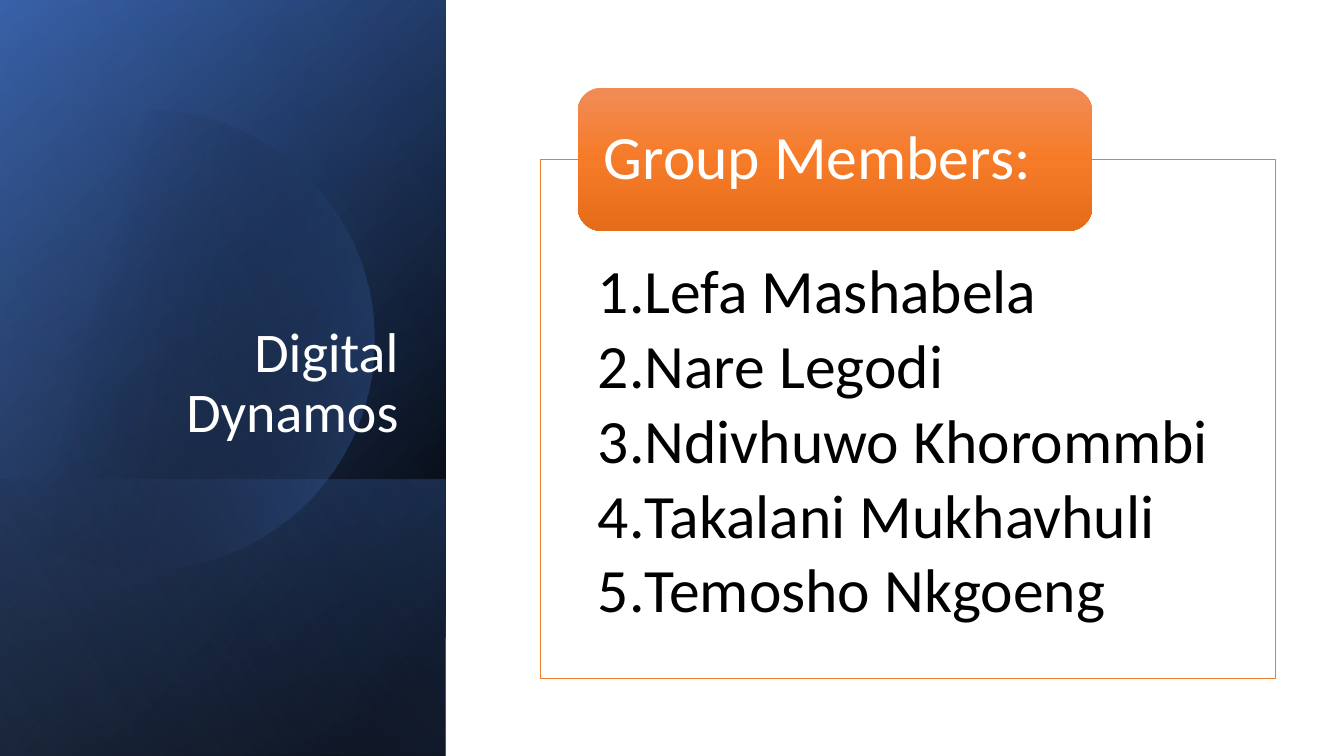
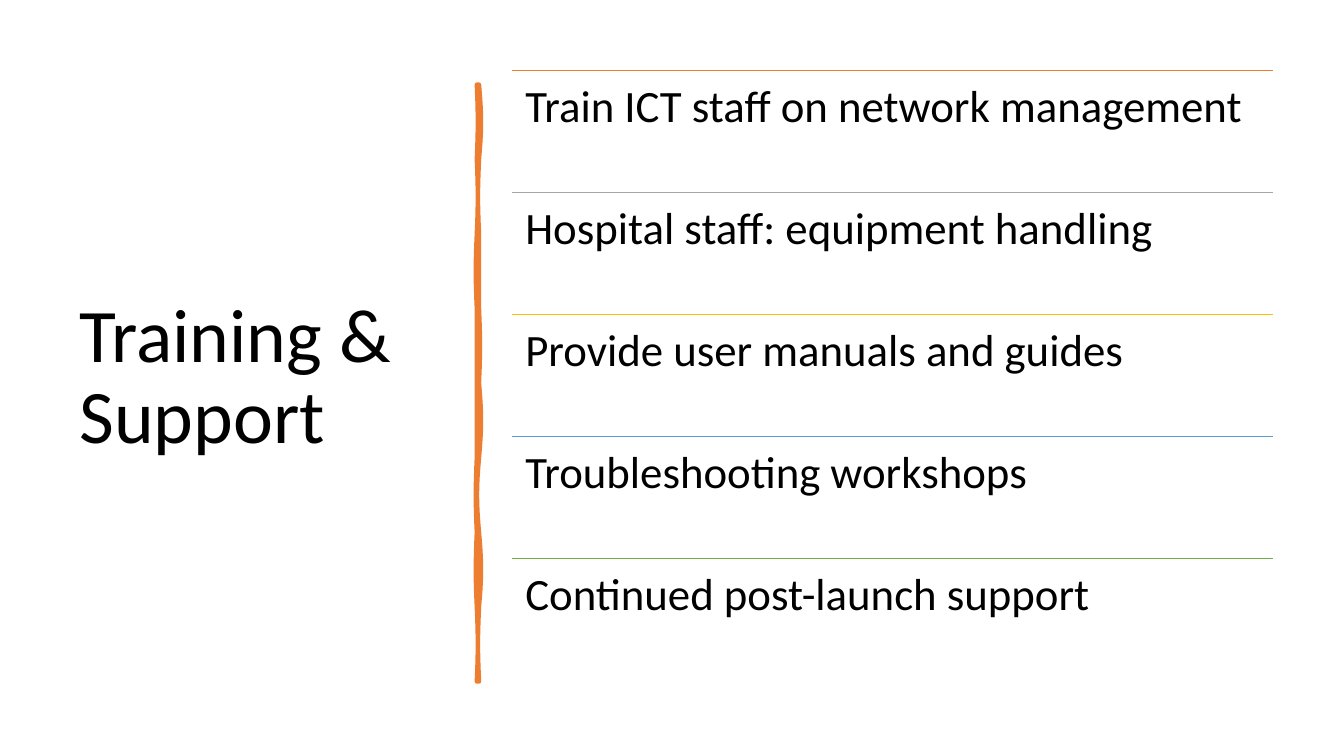
import math

from lxml import etree
from pptx import Presentation
from pptx import util as u
from pptx.dml.color import RGBColor
from pptx.enum import shapes, text
from pptx.oxml import ns

Inches, Pt = u.Inches, u.Pt
FONT = "Calibri"
BLACK, WHITE, ORANGE = "000000", "FFFFFF", "ED7D31"
BLUE, NAVY, PALE_BLUE = "4472C4", "2F5597", "8FAADC"
RULE_COLORS = [ORANGE, "A5A5A5", "FFC000", "5B9BD5", "70AD47"]
LEFT, RIGHT = text.PP_ALIGN.LEFT, text.PP_ALIGN.RIGHT
TOP, MIDDLE, BOTTOM = (text.MSO_ANCHOR.TOP, text.MSO_ANCHOR.MIDDLE,
                       text.MSO_ANCHOR.BOTTOM)


def color(value):
    return RGBColor.from_string(value)


def add_element(parent, tag, **attributes):
    return etree.SubElement(parent, ns.qn(tag), attributes)


def fill_gradient(shape, angle, stops):
    """Fill with (position, colour, opacity) stops; the angle runs clockwise."""
    shape.fill.gradient()
    shape.fill.gradient_angle = 360 - angle
    stop_list = shape._element.spPr.find(".//" + ns.qn("a:gsLst"))
    for old_stop in list(stop_list):
        stop_list.remove(old_stop)
    for position, value, opacity in stops:
        stop = add_element(stop_list, "a:gs", pos=str(position * 1000))
        tint = add_element(stop, "a:srgbClr", val=value)
        if opacity < 100:
            add_element(tint, "a:alpha", val=str(opacity * 1000))


def add_shape(page, kind, left, top, width, height):
    shape = page.shapes.add_shape(kind, Inches(left), Inches(top),
                                  Inches(width), Inches(height))
    shape.shadow.inherit = False
    shape.line.fill.background()
    return shape


def add_outline(page, points):
    """Draw a closed outline through points given in inches."""
    corners = [(Inches(x), Inches(y)) for x, y in points]
    builder = page.shapes.build_freeform(*corners[0])
    builder.add_line_segments(corners[1:], close=True)
    shape = builder.convert_to_shape()
    shape.shadow.inherit = False
    return shape


def write(shape, lines, size, value, insets=(0.1, 0.05, 0.1, 0.05),
          anchor=TOP, align=LEFT, gap=0, numbered=False):
    frame = shape.text_frame
    frame.word_wrap = True
    frame.vertical_anchor = anchor
    (frame.margin_left, frame.margin_top,
     frame.margin_right, frame.margin_bottom) = map(Inches, insets)
    for index, line in enumerate(lines):
        para = frame.add_paragraph() if index else frame.paragraphs[0]
        para.alignment = align
        para.line_spacing = 0.9
        para.space_after = Pt(gap)
        if numbered:
            properties = para._p.get_or_add_pPr()
            properties.set("marL", str(Inches(0.31)))
            properties.set("indent", str(-Inches(0.31)))
            add_element(properties, "a:buFont", typeface="+mj-lt")
            add_element(properties, "a:buAutoNum", type="arabicPeriod")
        span = para.add_run()
        span.text = line
        span.font.name = FONT
        span.font.size = Pt(size)
        span.font.color.rgb = color(value)


def add_text(page, left, top, width, height, lines, size, value, **style):
    box = page.shapes.add_textbox(Inches(left), Inches(top),
                                  Inches(width), Inches(height))
    write(box, lines, size, value, **style)


def add_title(page, left, top, width, height, title, size, value, **style):
    add_text(page, left, top, width, height, [title], size, value, **style)


def add_turned_band(page, left, top, width, height, angle, stops):
    """Cover the given box with a mirrored band turned a quarter clockwise."""
    shift = (width - height) / 2
    band = add_shape(page, shapes.MSO_SHAPE.RECTANGLE,
                     left + shift, top - shift, height, width)
    band.rotation = 90
    band._element.spPr.xfrm.set("flipH", "1")
    fill_gradient(band, angle, stops)


def add_disc(page, edge, center_x, center_y, radius):
    """Draw a glowing disc cut off at the vertical line x = edge."""
    reach = math.acos((edge - center_x) / radius)
    steps = 120
    angles = [reach * (2 * step / steps - 1) for step in range(steps + 1)]
    disc = add_outline(page, [(center_x + radius * math.cos(a),
                               center_y + radius * math.sin(a))
                              for a in angles])
    disc.line.fill.background()
    fill_gradient(disc, 14, [(29, BLACK, 0), (100, BLUE, 43)])


def add_night_panel(page, left, top, width, height):
    whole = (left, top, width, height)
    foot = 2.74
    add_turned_band(page, *whole, 50, [(8, BLACK, 100), (100, NAVY, 100)])
    add_turned_band(page, *whole, 30, [(0, BLACK, 0), (99, BLUE, 46)])
    add_turned_band(page, left, top + height - foot, width, foot, 130,
                    [(2, BLUE, 29), (100, BLACK, 30)])
    add_disc(page, left, left + 1.43, top + 3.37, 2.28)
    add_turned_band(page, *whole, 120, [(0, BLACK, 0), (99, PALE_BLUE, 11)])


def add_member_card(page, left, top, width, height, heading, members):
    card = add_shape(page, shapes.MSO_SHAPE.RECTANGLE,
                     left, top, width, height)
    card.fill.solid()
    card.fill.fore_color.rgb = color(WHITE)
    card.line.color.rgb = color(ORANGE)
    card.line.width = Pt(0.5)
    write(card, members, 44, BLACK, insets=(0.57, 1, 0.57, 0.34),
          gap=6, numbered=True)
    tab_height = 1.42
    tab = add_shape(page, shapes.MSO_SHAPE.ROUNDED_RECTANGLE, left + 0.37,
                    top - tab_height / 2, width * 0.7, tab_height)
    fill_gradient(tab, 90, [(0, "F18C57", 100), (50, "F67B28", 100),
                            (100, "E56C19", 100)])
    write(tab, [heading], 44, WHITE, insets=(0.19, 0, 0.19, 0), anchor=MIDDLE)


def wavy_edge(x, top, height, swings):
    """Return points down an edge that bows sideways once for each swing."""
    steps = 8
    count = len(swings) * steps
    return [(x + swings[min(i // steps, len(swings) - 1)]
             * math.sin(math.pi * (i % steps) / steps),
             top + height * i / count) for i in range(count + 1)]


def add_brush_stroke(page, left, top, width, height):
    left_edge = wavy_edge(left, top, height,
                          [0.01, 0.01, -0.01, 0, 0, -0.01, -0.01, 0.01])
    right_edge = wavy_edge(left + width, top, height,
                           [0.02, -0.01, 0, 0.01, 0.02, -0.02, 0.02, -0.01])
    stroke = add_outline(page, right_edge + left_edge[::-1])
    stroke.fill.solid()
    stroke.fill.fore_color.rgb = color(ORANGE)
    stroke.line.color.rgb = color(ORANGE)
    stroke.line.width = Pt(3.25)
    add_element(stroke.line._get_or_add_ln(), "a:round")


def add_ruled_list(page, left, top, width, height, items):
    pitch = height / len(items)
    for index, (item, value) in enumerate(zip(items, RULE_COLORS)):
        y = top + index * pitch
        rule = page.shapes.add_connector(
            shapes.MSO_CONNECTOR.STRAIGHT, Inches(left), Inches(y),
            Inches(left + width), Inches(y))
        rule.line.color.rgb = color(value)
        rule.line.width = Pt(1)
        add_element(rule._element.spPr, "a:effectLst")
        add_text(page, left, y, width, pitch, [item], 32, BLACK,
                 insets=(0.13,) * 4)


def build_team_slide(page):
    add_night_panel(page, 0, 0, 4.42, 7.5)
    add_title(page, 0.64, 1.84, 3.41, 2.62, "Digital Dynamos", 40, WHITE,
              anchor=BOTTOM, align=RIGHT)
    add_member_card(page, 5.36, 1.58, 7.29, 5.15, "Group Members:",
                    ["Lefa Mashabela", "Nare Legodi", "Ndivhuwo Khorommbi",
                     "Takalani Mukhavhuli", "Temosho Nkgoeng"])


def build_training_slide(page):
    add_title(page, 0.69, 0.7, 3.74, 6.11, "Training & Support", 54, BLACK,
              anchor=MIDDLE)
    add_brush_stroke(page, 4.73, 0.84, 0.02, 5.92)
    add_ruled_list(page, 5.08, 0.7, 7.55, 6.05,
                   ["Train ICT staff on network management",
                    "Hospital staff: equipment handling",
                    "Provide user manuals and guides",
                    "Troubleshooting workshops",
                    "Continued post-launch support"])


def main():
    deck = Presentation()
    deck.slide_width, deck.slide_height = Inches(13.33), Inches(7.5)
    for build in (build_team_slide, build_training_slide):
        build(deck.slides.add_slide(deck.slide_layouts[6]))
    deck.save("out.pptx")


if __name__ == "__main__":
    main()
